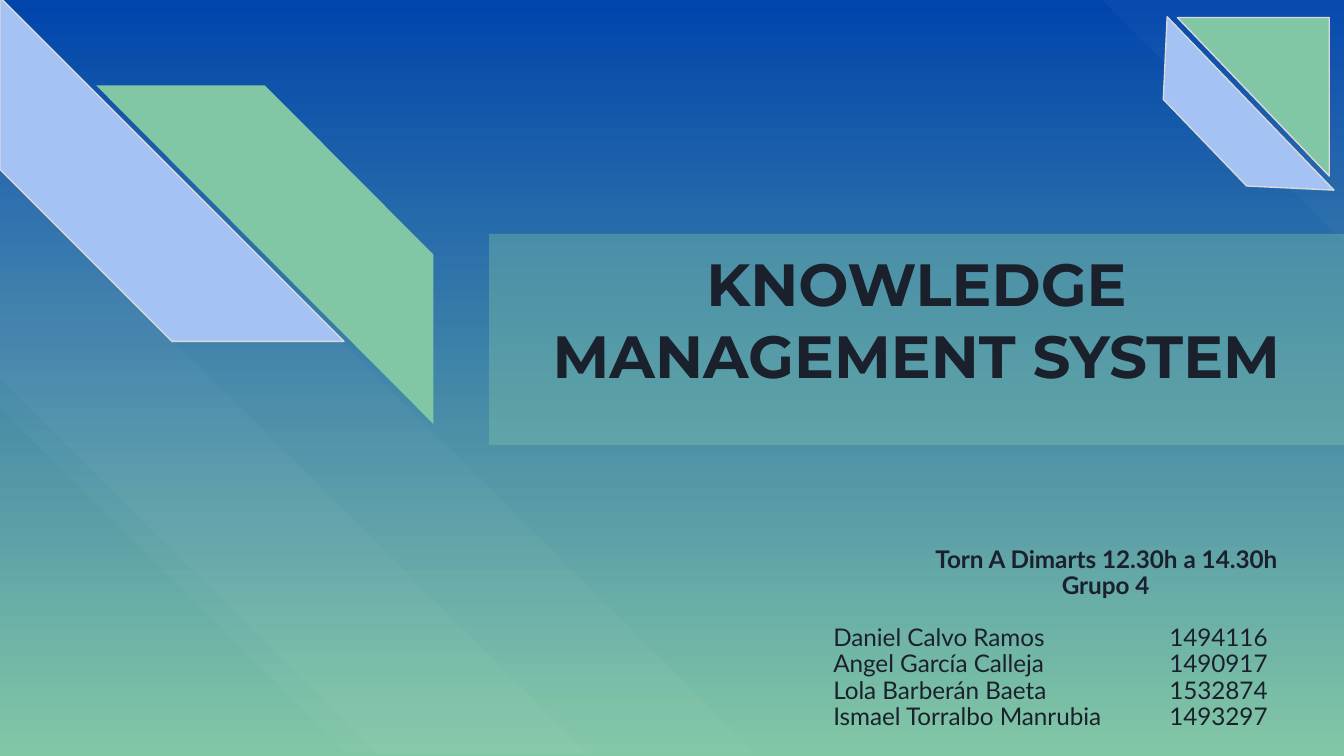
from dataclasses import dataclass

from lxml.etree import SubElement
from pptx import Presentation
from pptx.dml.color import RGBColor
from pptx.enum.shapes import MSO_SHAPE
from pptx.enum.text import MSO_ANCHOR, MSO_AUTO_SIZE, PP_ALIGN
from pptx.oxml.ns import qn
from pptx.util import Inches, Pt


@dataclass(frozen=True)
class Theme:
    blue: str = "0145AC"
    green: str = "82C7A5"
    light_blue: str = "A4C2F4"
    outline: str = "D9D9D9"
    white: str = "FFFFFF"
    ink: str = "1B212C"
    title_font: str = "Montserrat"
    body_font: str = "Lato"
    title_size: float = 31.9
    body_size: float = 13


theme = Theme()


def paint(shape, color, opacity=100):
    shape.fill.solid()
    shape.fill.fore_color.rgb = RGBColor.from_string(color)
    if opacity < 100:
        solid_color = shape.fill._xPr.find(qn("a:solidFill"))[0]
        SubElement(solid_color, qn("a:alpha"), val=str(opacity * 1000))


def add_run(paragraph, text, font_name, size, bold):
    run = paragraph.add_run()
    run.text = text
    run.font.name = font_name
    run.font.size = Pt(size)
    run.font.bold = bold
    run.font.color.rgb = RGBColor.from_string(theme.ink)


# Widescreen slide, 16:9
presentation = Presentation()
presentation.slide_width = Inches(10)
presentation.slide_height = Inches(10 * 9 / 16)
slide = presentation.slides.add_slide(presentation.slide_layouts[0])
title, subtitle = slide.placeholders

# Background: blue at the top, green at the bottom
background = slide.background.fill
background.gradient()
background.gradient_angle = 270
for stop, position, color in zip(background.gradient_stops, (0, 1), (theme.blue, theme.green)):
    stop.position = position
    stop.color.rgb = RGBColor.from_string(color)

# Decoration: kind, frame, rotation, stripe adjustment, color, opacity, outlined
STRIPE, TRIANGLE = MSO_SHAPE.DIAGONAL_STRIPE, MSO_SHAPE.RIGHT_TRIANGLE
decorations = [
    (STRIPE, (8.2, 0, 1.8, 1.8), 90, 0, theme.white, 3, False),
    (STRIPE, (0.01, -0.01, 5.61, 5.64), 270, 0.5, theme.white, 3, False),
    (STRIPE, (0.01, 1.24, 4.35, 4.37), 270, 0.59, theme.white, 3, False),
    (STRIPE, (0.71, 0.64, 2.52, 2.51), 90, 0.5, theme.green, 100, False),
    (STRIPE, (0, -0.02, 2.56, 2.56), 270, 0.5, theme.light_blue, 100, True),
    (STRIPE, (8.69, 0.12, 1.23, 1.3), 272.7, 0.5, theme.light_blue, 100, True),
    (TRIANGLE, (8.76, 0.13, 1.13, 1.18), 180, None, theme.green, 100, True),
]
for kind, frame, rotation, adjustment, color, opacity, outlined in decorations:
    shape = slide.shapes.add_shape(kind, *map(Inches, frame))
    shape.shadow.inherit = False
    shape.rotation = rotation
    if adjustment is not None:
        shape.adjustments[0] = adjustment
    paint(shape, color, opacity)
    if outlined:
        shape.line.color.rgb = RGBColor.from_string(theme.outline)
        shape.line.width = Pt(0.75)
    else:
        shape.line.fill.background()

# Placeholders in front of the decoration
for placeholder, frame in ((title, (3.64, 1.74, 6.36, 1.57)), (subtitle, (6.1, 3.97, 4.25, 1.79))):
    slide.shapes._spTree.append(placeholder._element)
    placeholder.left, placeholder.top, placeholder.width, placeholder.height = map(Inches, frame)
    text_frame = placeholder.text_frame
    text_frame.word_wrap = True
    text_frame.auto_size = MSO_AUTO_SIZE.NONE
    text_frame.vertical_anchor = MSO_ANCHOR.TOP
    text_frame.margin_left = text_frame.margin_right = Inches(0.1)
    text_frame.margin_top = text_frame.margin_bottom = Inches(0.1)

# Title
paint(title, theme.green, 37)
paragraph = title.text_frame.paragraphs[0]
paragraph.alignment = PP_ALIGN.CENTER
add_run(paragraph, "KNOWLEDGE MANAGEMENT SYSTEM", theme.title_font, theme.title_size, True)

# Group and members: text, indent, space before, bold
lines = [
    ("Torn A Dimarts 12.30h a 14.30h", 0.76, 0, True),
    ("Grupo 4", 1.7, 0, True),
    ("Daniel Calvo Ramos \t\t1494116", 0, 14, False),
    ("Angel García Calleja \t\t1490917", 0, 0, False),
    ("Lola Barberán Baeta \t\t1532874", 0, 0, False),
    ("Ismael Torralbo Manrubia \t1493297", 0, 0, False),
]
text_frame = subtitle.text_frame
for index, (text, indent, space_before, bold) in enumerate(lines):
    paragraph = text_frame.paragraphs[0] if index == 0 else text_frame.add_paragraph()
    paragraph.alignment = PP_ALIGN.LEFT
    paragraph.line_spacing = 0.9
    paragraph.space_before = Pt(space_before)
    properties = paragraph._p.get_or_add_pPr()
    properties.set("marL", str(Inches(indent)))
    properties.set("indent", "0")
    add_run(paragraph, text, theme.body_font, theme.body_size, bold)

presentation.save("out.pptx")
